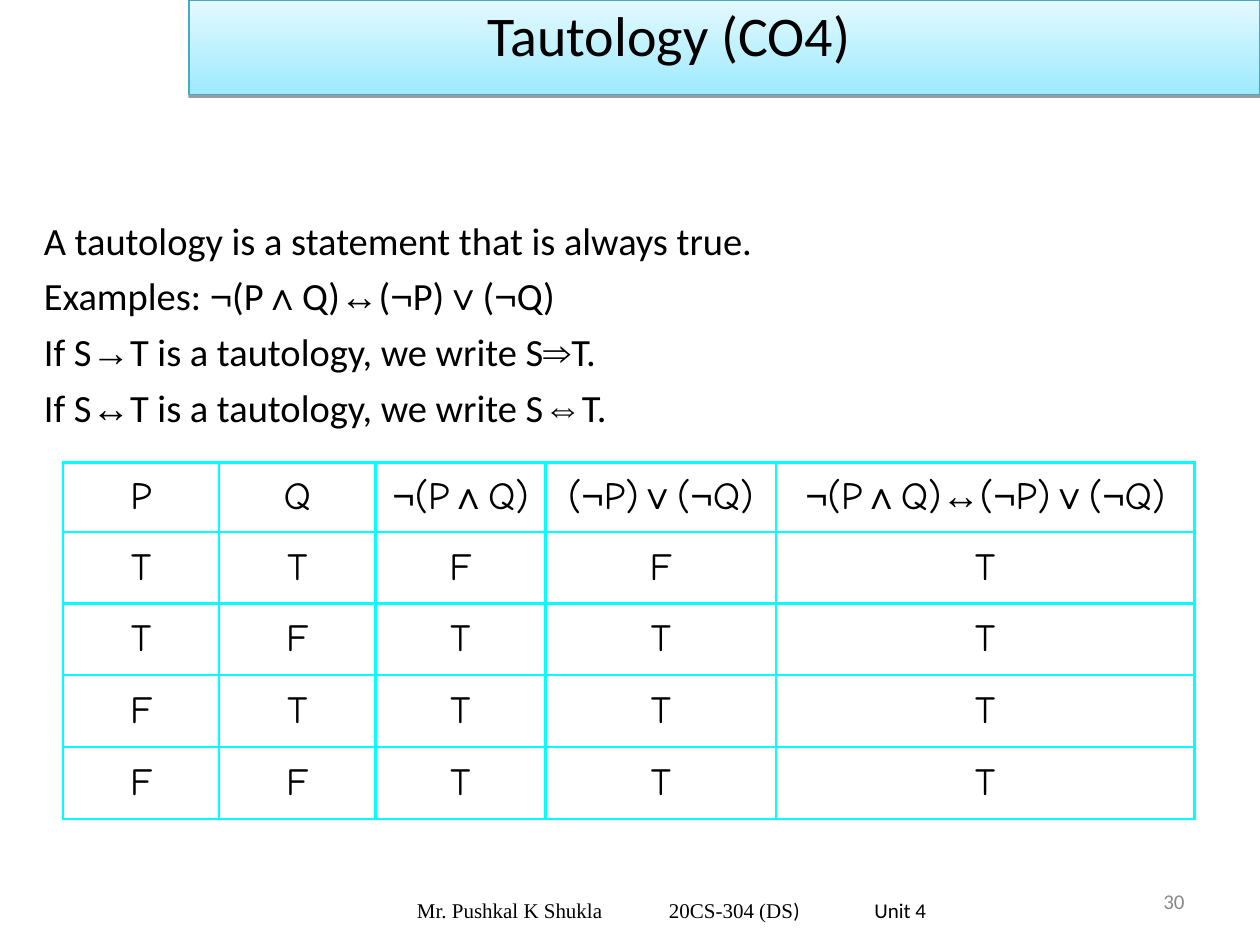
from itertools import groupby

from lxml.etree import SubElement
from pptx import Presentation
from pptx.dml.color import RGBColor
from pptx.enum.shapes import MSO_SHAPE
from pptx.enum.text import MSO_ANCHOR, PP_ALIGN
from pptx.oxml.ns import qn
from pptx.util import Inches, Pt

SYMBOLS = "¬∧∨⇒⇔"
BOLD_ARROWS = "↔→"
INK = "000000"

STATEMENTS = [
    "A tautology is a statement that is always true.",
    "Examples: ¬(P∧Q)↔(¬P)∨(¬Q)",
    "If S→T is a tautology, we write S⇒T.",
    "If S↔T is a tautology, we write S⇔T.",
]
TRUTH_TABLE = [
    ["P", "Q", "¬(P∧Q)", "(¬P)∨(¬Q)", "¬(P∧Q)↔(¬P)∨(¬Q)"],
    ["T", "T", "F", "F", "T"],
    ["T", "F", "T", "T", "T"],
    ["F", "T", "T", "T", "T"],
    ["F", "F", "T", "T", "T"],
]
COL_WIDTHS = [1.24, 1.24, 1.35, 1.83, 3.32]
ROW_HEIGHTS = [0.55] + [0.57] * 4


def rgb(value):
    return RGBColor.from_string(value)


def set_attrs(obj, formats):
    for name, value in formats.items():
        setattr(obj, name, value)


def add_run(p, text, font, size, color=INK, bold=False):
    r = p.add_run()
    r.text = text
    set_attrs(r.font, {"name": font, "size": Pt(size), "bold": bold})
    r.font.color.rgb = rgb(color)


def add_logic(p, text, font, size):
    """Write text with its logic symbols in Arial and its arrows in bold."""
    def style(ch):
        bold = ch in BOLD_ARROWS
        return ("Arial" if bold or ch in SYMBOLS else font), bold

    for (name, bold), chars in groupby(text, style):
        add_run(p, "".join(chars), name, size, bold=bold)


def add_text_box(s, box, anchor=MSO_ANCHOR.MIDDLE, **margins):
    tf = s.shapes.add_textbox(*map(Inches, box)).text_frame
    set_attrs(tf, {"word_wrap": True, "vertical_anchor": anchor})
    set_attrs(tf, {f"margin_{side}": Inches(v) for side, v in margins.items()})
    return tf


def add_band(s, box):
    sp = s.shapes.add_shape(MSO_SHAPE.RECTANGLE, *map(Inches, box))
    sp.fill.gradient()
    sp.fill.gradient_angle = 90
    for stop, color in zip(sp.fill.gradient_stops, ["9EEAFF", "E4F9FF"]):
        stop.color.rgb = rgb(color)
    sp.line.color.rgb = rgb("46AAC5")
    sp.line.width = Pt(0.75)
    # Thin shadow below the band
    sp.shadow.inherit = False
    effects = sp.element.spPr.find(qn("a:effectLst"))
    shadow = SubElement(effects, qn("a:outerShdw"), blurRad="0",
                        dist=str(Pt(1.6)), dir="5400000", rotWithShape="0")
    color = SubElement(shadow, qn("a:srgbClr"), val=INK)
    SubElement(color, qn("a:alpha"), val="38000")


def add_title(s, box):
    tf = add_text_box(s, box, MSO_ANCHOR.TOP, left=0.62, right=0, top=0, bottom=0)
    p = tf.paragraphs[0]
    p.alignment = PP_ALIGN.CENTER
    add_run(p, "Tautology (CO4)", "Calibri", 32)


def add_statements(s, box):
    tf = add_text_box(s, box, MSO_ANCHOR.TOP)
    for i, text in enumerate(STATEMENTS):
        p = tf.add_paragraph() if i else tf.paragraphs[0]
        p.space_before = Pt(5.5 if i else 0)
        add_logic(p, text, "Calibri", 22)


def set_borders(cell, color, width):
    tcPr = cell._tc.get_or_add_tcPr()
    for i, side in enumerate(["lnL", "lnR", "lnT", "lnB"]):
        ln = tcPr.makeelement(qn(f"a:{side}"), {"w": str(Pt(width))})
        fill = SubElement(ln, qn("a:solidFill"))
        SubElement(fill, qn("a:srgbClr"), val=color)
        tcPr.insert(i, ln)


def add_truth_table(s, box):
    rows, cols = len(TRUTH_TABLE), len(COL_WIDTHS)
    table = s.shapes.add_table(rows, cols, *map(Inches, box)).table
    set_attrs(table, {"first_row": False, "horz_banding": False})
    for col, width in zip(table.columns, COL_WIDTHS):
        col.width = Inches(width)
    for row, height, texts in zip(table.rows, ROW_HEIGHTS, TRUTH_TABLE):
        row.height = Inches(height)
        for cell, text in zip(row.cells, texts):
            cell.vertical_anchor = MSO_ANCHOR.MIDDLE
            cell.fill.background()
            set_borders(cell, "00FFFF", 1.5)
            p = cell.text_frame.paragraphs[0]
            p.alignment = PP_ALIGN.CENTER
            add_logic(p, text, "Comic Neue", 22)


def add_footer(s, box):
    p = add_text_box(s, box, left=0.73).paragraphs[0]
    # Tab stops for the course and the unit
    tabs = SubElement(p._p.get_or_add_pPr(), qn("a:tabLst"))
    for pos in (2, 3.63):
        SubElement(tabs, qn("a:tab"), pos=str(Inches(pos)), algn="l")
    add_run(p, "Mr. Pushkal K Shukla\t20CS-304 (DS", "Times New Roman", 12)
    add_run(p, ")\tUnit 4", "Calibri", 12)


def add_slide_number(s, box):
    p = add_text_box(s, box).paragraphs[0]
    p.alignment = PP_ALIGN.RIGHT
    add_run(p, "30", "Calibri", 12, "898989")


def main():
    prs = Presentation()
    set_attrs(prs, {"slide_width": Inches(10), "slide_height": Inches(7.5)})
    s = prs.slides.add_slide(prs.slide_layouts[6])
    add_slide_number(s, (7.17, 6.95, 2.33, 0.4))
    add_band(s, (1.5, 0, 8.5, 0.75))
    add_title(s, (0.75, 0, 8.5, 0.92))
    add_statements(s, (0.25, 1.67, 9.5, 4.42))
    add_truth_table(s, (0.5, 3.67, 8.98, 2.83))
    add_footer(s, (2.58, 7.02, 5.5, 0.4))
    prs.save("out.pptx")


if __name__ == "__main__":
    main()
